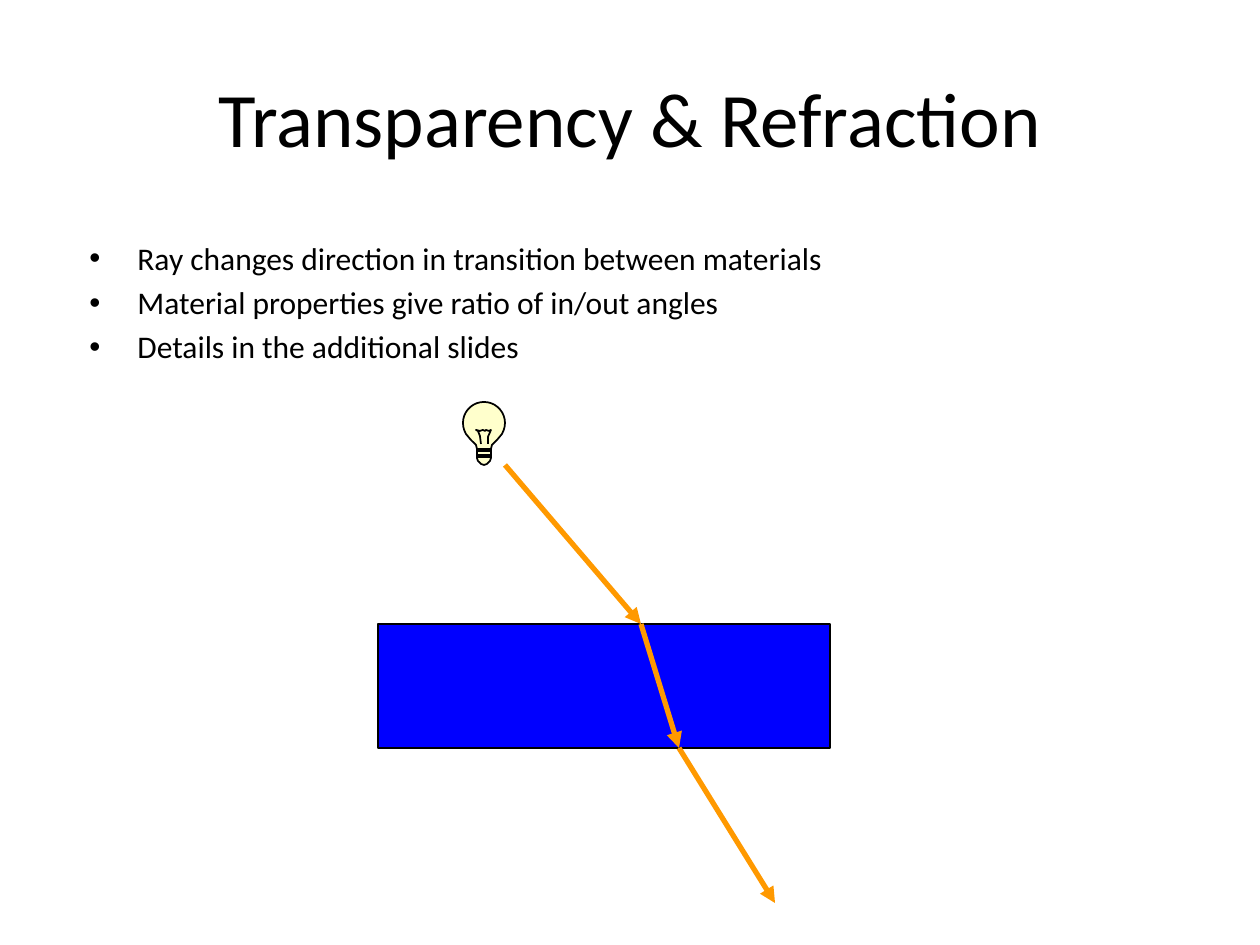
import math
import itertools
import pptx
import pptx.util
import pptx.dml.color
import pptx.enum.shapes
import pptx.enum.text
import pptx.oxml.ns
import lxml.etree

# Content
TITLE = "Transparency & Refraction"
POINTS = [
    "Ray changes direction in transition between materials",
    "Material properties give ratio of in/out angles",
    "Details in the additional slides",
]

# Layout in px
SCALE = 914400 / 126
SLIDE = (1260, 945)
TITLE_BOX = (63, 38, 1134, 158)
POINTS_BOX = (77, 233, 1103, 129)
INDENT = 48
GLASS = (378, 624, 452, 124)
RAY = [(505, 465), (641, 624), (679, 748), (775, 903)]
BULB_CENTER = (484, 423)
BULB_RADIUS = 21
# Right side of the neck and cap, as offsets from the bulb centre
NECK = [(18, 11), (13, 17), (8, 22), (7, 26), (7, 35), (6, 38), (3, 41), (0, 42)]
FILAMENT = [(481, 444), (480, 436), (478, 431), (476, 430), (480, 431), (483, 430),
            (485, 431), (486, 430), (489, 431), (491, 430), (488, 437), (488, 444)]
THREAD = [(477, 449), (491, 449), (491, 451), (477, 451),
          (477, 455), (491, 455), (491, 457), (477, 457)]

FONT = "Calibri"
BLACK = pptx.dml.color.RGBColor(0, 0, 0)
BLUE = pptx.dml.color.RGBColor(0, 0, 255)
ORANGE = pptx.dml.color.RGBColor(255, 153, 0)
CREAM = pptx.dml.color.RGBColor(255, 255, 204)


def emu(*lengths):
    return [pptx.util.Emu(round(length * SCALE)) for length in lengths]


def add_text(slide, place, lines, size):
    frame = slide.shapes.add_textbox(*emu(*place)).text_frame
    frame.word_wrap = True
    frame.text = "\n".join(lines)
    for para in frame.paragraphs:
        para.font.name = FONT
        para.font.size = pptx.util.Pt(size)
        para.font.color.rgb = BLACK
    return frame


def add_bullet(para):
    para.space_before = pptx.util.Pt(3.6)
    props = para._p.get_or_add_pPr()
    indent, = emu(INDENT)
    props.set("marL", str(indent))
    props.set("indent", str(-indent))
    font = lxml.etree.SubElement(props, pptx.oxml.ns.qn("a:buFont"))
    font.set("typeface", "Arial")
    bullet = lxml.etree.SubElement(props, pptx.oxml.ns.qn("a:buChar"))
    bullet.set("char", "•")


def style(shape, fill, width):
    shape.shadow.inherit = False
    if fill is None:
        shape.fill.background()
    else:
        shape.fill.solid()
        shape.fill.fore_color.rgb = fill
    shape.line.color.rgb = BLACK
    shape.line.width = pptx.util.Pt(width)


def add_outline(slide, contours, closed, fill):
    builder = slide.shapes.build_freeform(*emu(*contours[0][0]))
    for number, contour in enumerate(contours):
        if number:
            builder.move_to(*emu(*contour[0]))
        builder.add_line_segments([emu(*point) for point in contour[1:]], close=closed)
    style(builder.convert_to_shape(), fill, 1)


def bulb_outline():
    angles = [math.radians(degrees) for degrees in range(0, 111, 10)]
    right = [(BULB_RADIUS * math.sin(a), -BULB_RADIUS * math.cos(a)) for a in angles]
    right += NECK
    left = [(-x, y) for x, y in reversed(right[1:-1])]
    center_x, center_y = BULB_CENTER
    return [(center_x + x, center_y + y) for x, y in right + left]


def add_arrow(slide, start, end):
    arrow = slide.shapes.add_connector(
        pptx.enum.shapes.MSO_CONNECTOR.STRAIGHT, *emu(*start, *end))
    arrow.line.color.rgb = ORANGE
    arrow.line.width = pptx.util.Pt(3)
    head = lxml.etree.SubElement(arrow.line._get_or_add_ln(), pptx.oxml.ns.qn("a:tailEnd"))
    head.set("type", "triangle")
    lxml.etree.SubElement(arrow._element.spPr, pptx.oxml.ns.qn("a:effectLst"))


def main():
    deck = pptx.Presentation()
    deck.slide_width, deck.slide_height = emu(*SLIDE)
    slide = deck.slides.add_slide(deck.slide_layouts[6])

    # Title
    title = add_text(slide, TITLE_BOX, [TITLE], 44)
    title.vertical_anchor = pptx.enum.text.MSO_ANCHOR.MIDDLE
    title.paragraphs[0].alignment = pptx.enum.text.PP_ALIGN.CENTER

    # Light bulb
    add_outline(slide, [bulb_outline()], True, CREAM)
    add_outline(slide, [FILAMENT, THREAD], False, None)

    # Glass block and the ray passing through it
    glass = slide.shapes.add_shape(
        pptx.enum.shapes.MSO_SHAPE.RECTANGLE, *emu(*GLASS))
    style(glass, BLUE, 0.75)
    for start, end in itertools.pairwise(RAY):
        add_arrow(slide, start, end)

    # Bullet points
    for para in add_text(slide, POINTS_BOX, POINTS, 18).paragraphs:
        add_bullet(para)

    deck.save("out.pptx")


if __name__ == "__main__":
    main()
